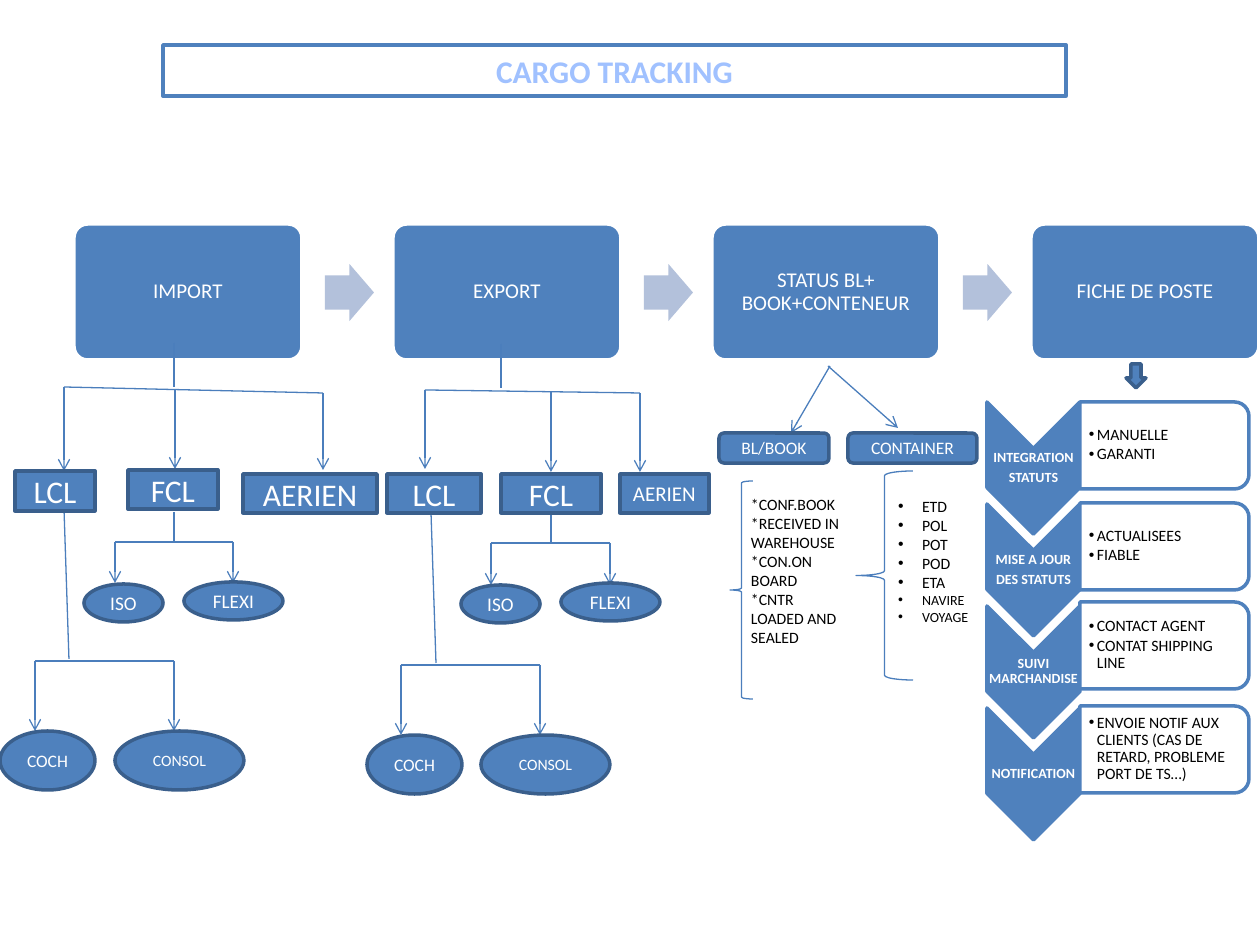
from lxml.etree import SubElement
from pptx import Presentation
from pptx.dml.color import RGBColor
from pptx.enum.shapes import MSO_CONNECTOR, MSO_SHAPE
from pptx.enum.text import MSO_ANCHOR, MSO_AUTO_SIZE, PP_ALIGN
from pptx.oxml.ns import qn
from pptx.util import Pt

WIDTH, HEIGHT = 1260, 945
EMU_PER_PX = 914400 / 126
FONT = "Calibri"

BLUE = RGBColor(0x4F, 0x81, 0xBD)
DARK_BLUE = RGBColor(0x3A, 0x5F, 0x8C)
LINE_BLUE = RGBColor(0x4B, 0x7E, 0xBC)
PALE_BLUE = RGBColor(0xB3, 0xC1, 0xDB)
TITLE_BLUE = RGBColor(0xA0, 0xC1, 0xFF)
WHITE = RGBColor(0xFF, 0xFF, 0xFF)
BLACK = RGBColor(0x00, 0x00, 0x00)

TITLE = "CARGO TRACKING"
STAGES = ["IMPORT", "EXPORT", "STATUS BL+ BOOK+CONTENEUR", "FICHE DE POSTE"]
STAGE_LEFT, STAGE_PITCH, ARROW_LEFT = 74, 319, 325

FORKS = [
    ((174, 343, 174, 387), (64, 387, 323, 393), [(64, 471), (175, 469), (323, 470)]),
    ((501, 344, 501, 388), (425, 390, 640, 393), [(425, 469), (551, 472), (640, 472)]),
    ((64, 509, 69, 659), (35, 661, 174, 661), [(35, 731), (174, 731)]),
    ((431, 512, 436, 663), (401, 665, 540, 665), [(401, 735), (540, 735)]),
    ((174, 512, 174, 542), (115, 542, 233, 542), [(115, 583), (233, 583)]),
    ((551, 512, 551, 543), (491, 543, 610, 543), [(491, 585), (610, 585)]),
]
STATUS_ARROWS = [(830, 366, 791, 433), (828, 366, 898, 428)]

NODES = {
    MSO_SHAPE.RECTANGLE: [
        ("LCL", 18, (15, 471, 80, 40)),
        ("FCL", 18, (128, 470, 90, 39)),
        ("AERIEN", 18, (243, 474, 134, 39)),
        ("LCL", 18, (387, 474, 94, 39)),
        ("FCL", 18, (501, 474, 100, 39)),
        ("AERIEN", 12, (620, 474, 89, 39)),
    ],
    MSO_SHAPE.OVAL: [
        ("COCH", 10, (0, 731, 95, 59)),
        ("CONSOL", 9, (115, 731, 129, 59)),
        ("ISO", 11, (84, 584, 79, 38)),
        ("FLEXI", 11, (184, 582, 99, 38)),
        ("COCH", 10, (367, 735, 95, 59)),
        ("CONSOL", 9, (481, 735, 129, 59)),
        ("ISO", 11, (461, 585, 79, 38)),
        ("FLEXI", 11, (561, 583, 99, 38)),
    ],
    MSO_SHAPE.ROUNDED_RECTANGLE: [
        ("BL/BOOK", 10, (719, 433, 110, 30)),
        ("CONTAINER", 10, (848, 433, 129, 30)),
    ],
}

BOOKING_STATUSES = ["*CONF.BOOK", "*RECEIVED IN WAREHOUSE", "*CON.ON BOARD",
                    "*CNTR LOADED AND SEALED"]
CONTAINER_STATUSES = ["ETD", "POL", "POT", "POD", "ETA", "NAVIRE", "VOYAGE"]
SMALL_STATUSES = ("NAVIRE", "VOYAGE")
BRACES = [(730, 481, 23, 218), (856, 471, 57, 209)]

DUTIES = [
    (["INTEGRATION", "STATUTS"], ["MANUELLE", "GARANTI"], 402),
    (["MISE A JOUR", "DES STATUTS"], ["ACTUALISEES", "FIABLE"], 503),
    (["SUIVI MARCHANDISE"], ["CONTACT AGENT", "CONTAT SHIPPING LINE"], 602),
    (["NOTIFICATION"],
     ["ENVOIE NOTIF AUX CLIENTS (CAS DE RETARD, PROBLEME PORT DE TS…)"], 706),
]
DUTY_TOP, DUTY_PITCH = 402, 102


def px(length):
    return round(length * EMU_PER_PX)


def place(shape, box):
    shape.left, shape.top, shape.width, shape.height = map(px, box)


def write(shape, lines, size, color, bold=False, align=PP_ALIGN.CENTER,
          anchor=MSO_ANCHOR.MIDDLE, insets=(0, 0, 0, 0), spacing=1.0, after=0):
    frame = shape.text_frame
    frame.text = "\n".join(lines)
    frame.word_wrap = True
    frame.auto_size = MSO_AUTO_SIZE.NONE
    frame.vertical_anchor = anchor
    (frame.margin_left, frame.margin_top,
     frame.margin_right, frame.margin_bottom) = map(px, insets)
    for paragraph in frame.paragraphs:
        paragraph.alignment = align
        paragraph.line_spacing = spacing
        paragraph.space_before = Pt(0)
        paragraph.space_after = Pt(after)
        for run in paragraph.runs:
            run.font.name = FONT
            run.font.size = Pt(size)
            run.font.bold = bold
            run.font.color.rgb = color


def set_bullets(shape, indent):
    for paragraph in shape.text_frame.paragraphs:
        properties = paragraph._p.get_or_add_pPr()
        properties.set("marL", str(px(indent)))
        properties.set("indent", str(-px(indent)))
        if indent:
            SubElement(properties, qn("a:buFont"), typeface="Arial")
            SubElement(properties, qn("a:buChar"), char="•")
        else:
            SubElement(properties, qn("a:buNone"))


def add_shape(kind, box, fill, line, line_width=2):
    shape = slide.shapes.add_shape(kind, *map(px, box))
    shape.shadow.inherit = False
    if fill is None:
        shape.fill.background()
    else:
        shape.fill.solid()
        shape.fill.fore_color.rgb = fill
    if line is None:
        shape.line.fill.background()
    else:
        shape.line.color.rgb = line
        shape.line.width = Pt(line_width)
    return shape


def add_turned(kind, box, fill):
    x, y, w, h = box
    turned_box = (x + (w - h) / 2, y + (h - w) / 2, h, w)
    add_shape(kind, turned_box, fill, BLUE).rotation = 90


def add_label(box, lines, **style):
    label = slide.shapes.add_textbox(*map(px, box))
    write(label, lines, spacing=0.9, **style)
    return label


def add_line(ends, arrow=False):
    line = slide.shapes.add_connector(MSO_CONNECTOR.STRAIGHT, *map(px, ends))
    line.line.color.rgb = LINE_BLUE
    line.line.width = Pt(0.75)
    if arrow:
        SubElement(line.line._get_or_add_ln(), qn("a:tailEnd"), type="arrow")
    SubElement(line._element.spPr, qn("a:effectLst"))


presentation = Presentation()
presentation.slide_width, presentation.slide_height = px(WIDTH), px(HEIGHT)
slide = presentation.slides.add_slide(presentation.slide_layouts[3])
title, bookings, containers = slide.placeholders

place(title, (163, 45, 903, 51))
title.fill.solid()
title.fill.fore_color.rgb = WHITE
title.line.color.rgb = BLUE
title.line.width = Pt(2)
write(title, [TITLE], 18, TITLE_BLUE, bold=True)

for status_list, box, statuses, indent in [
        (bookings, (739, 489, 117, 165), BOOKING_STATUSES, 0),
        (containers, (886, 491, 101, 161), CONTAINER_STATUSES, 24)]:
    place(status_list, box)
    write(status_list, statuses, 9, BLACK, align=PP_ALIGN.LEFT,
          anchor=MSO_ANCHOR.TOP, insets=(12, 6, 12, 6))
    set_bullets(status_list, indent)
for paragraph in containers.text_frame.paragraphs:
    if paragraph.text in SMALL_STATUSES:
        paragraph.runs[0].font.size = Pt(8)

for i, stage_name in enumerate(STAGES):
    stage = add_shape(MSO_SHAPE.ROUNDED_RECTANGLE,
                      (STAGE_LEFT + i * STAGE_PITCH, 224, 228, 136), BLUE, WHITE)
    stage.adjustments[0] = 0.1
    write(stage, [stage_name], 12, WHITE, spacing=0.9, insets=(10, 10, 10, 10))
    if i < len(STAGES) - 1:
        arrow = add_shape(MSO_SHAPE.RIGHT_ARROW,
                          (ARROW_LEFT + i * STAGE_PITCH, 264, 49, 57), PALE_BLUE, None)
        arrow.adjustments[0] = 0.6

for stem, bar, drops in FORKS:
    add_line(stem)
    add_line(bar)
    x1, y1, x2, y2 = bar
    for x, bottom in drops:
        add_line((x, y1 + (y2 - y1) * (x - x1) / (x2 - x1), x, bottom), arrow=True)
for ends in STATUS_ARROWS:
    add_line(ends, arrow=True)

for kind, nodes in NODES.items():
    for name, size, box in nodes:
        write(add_shape(kind, box, BLUE, DARK_BLUE), [name], size, WHITE)

for i, (heading, tasks, task_top) in enumerate(DUTIES):
    top = DUTY_TOP + i * DUTY_PITCH
    add_turned(MSO_SHAPE.CHEVRON, (987, top, 93, 132), BLUE)
    add_label((987, top + 46, 93, 40), heading, size=8, color=WHITE, bold=True,
              insets=(1, 1, 1, 1), after=3)
    add_turned(MSO_SHAPE.ROUND_2_SAME_RECTANGLE, (1080, task_top, 169, 87), WHITE)
    task_list = add_label((1080, task_top + 4, 164, 78), tasks, size=9, color=BLACK,
                          align=PP_ALIGN.LEFT, insets=(9, 1, 1, 1), after=1.35)
    set_bullets(task_list, 8)

add_shape(MSO_SHAPE.DOWN_ARROW, (1126, 364, 20, 24), BLUE, DARK_BLUE)
for box in BRACES:
    add_shape(MSO_SHAPE.LEFT_BRACE, box, None, LINE_BLUE, 0.75)

presentation.save("out.pptx")
